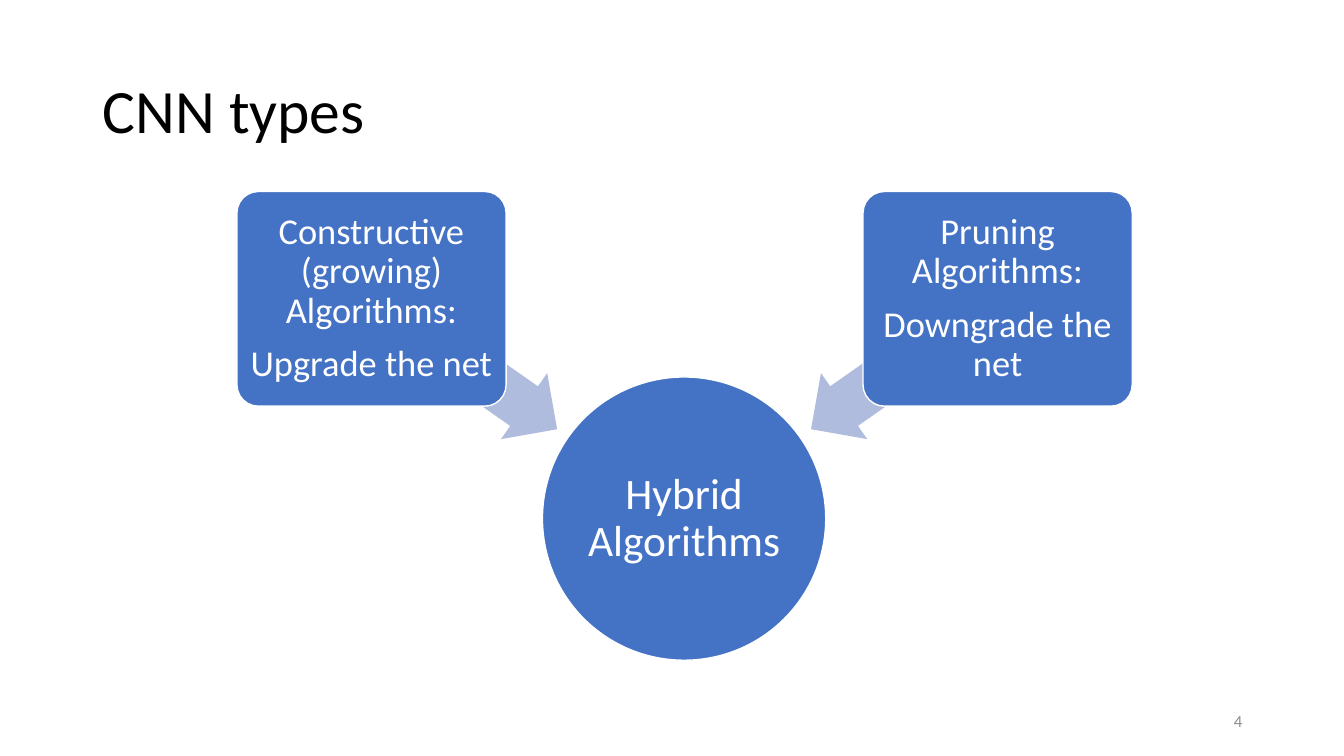
from dataclasses import dataclass

from pptx import Presentation
from pptx.dml.color import RGBColor
from pptx.enum.shapes import MSO_SHAPE
from pptx.enum.text import MSO_ANCHOR, MSO_AUTO_SIZE, PP_ALIGN
from pptx.shapes.autoshape import Shape
from pptx.slide import Slide
from pptx.text.text import TextFrame
from pptx.util import Emu, Pt

EMU_PER_PX = 9144  # 100 px to the inch
FONT = "Calibri"
COLORS = {
    "title": "000000",
    "node": "4472C4",
    "node_text": "FFFFFF",
    "arrow": "B0BCDE",
    "page": "8C8C8C",
}
CIRCLE, BOX, ARROW = MSO_SHAPE.OVAL, MSO_SHAPE.ROUNDED_RECTANGLE, MSO_SHAPE.LEFT_ARROW
LEFT, CENTER, RIGHT = PP_ALIGN.LEFT, PP_ALIGN.CENTER, PP_ALIGN.RIGHT
MIDDLE = MSO_ANCHOR.MIDDLE
NO_AUTOFIT = MSO_AUTO_SIZE.NONE
TITLE_ONLY = 5


@dataclass(frozen=True)
class Node:
    kind: MSO_SHAPE
    left: int
    top: int
    width: int
    height: int
    paragraphs: tuple[str, ...]
    size: int
    inset: int


@dataclass(frozen=True)
class Branch:
    """An algorithm family and the arrow leading from it to the hybrid."""
    node: Node
    arrow_left: int
    arrow_angle: int


HYBRID = Node(CIRCLE, 538, 374, 281, 281, ("Hybrid Algorithms",), 31, 2)
BRANCHES = (
    Branch(Node(BOX, 235, 190, 267, 213,
                ("Constructive (growing) Algorithms:", "Upgrade the net"), 26, 5), 347, 215),
    Branch(Node(BOX, 856, 190, 267, 213,
                ("Pruning Algorithms:", "Downgrade the net"), 26, 5), 784, 325),
)


def px(length: int) -> Emu:
    return Emu(length * EMU_PER_PX)


def rgb(role: str) -> RGBColor:
    return RGBColor.from_string(COLORS[role])


def write(frame: TextFrame, paragraphs: tuple[str, ...], size: int, role: str,
          paragraph_format: dict) -> None:
    frame.auto_size = NO_AUTOFIT
    frame.word_wrap = True
    frame.vertical_anchor = MIDDLE
    frame.text = "\n".join(paragraphs)
    for paragraph in frame.paragraphs:
        for attribute, value in paragraph_format.items():
            setattr(paragraph, attribute, value)
        font = paragraph.runs[0].font
        for attribute, value in {"name": FONT, "size": Pt(size)}.items():
            setattr(font, attribute, value)
        font.color.rgb = rgb(role)


def add_filled(slide: Slide, kind: MSO_SHAPE, bounds: tuple[int, ...], role: str) -> Shape:
    shape = slide.shapes.add_shape(kind, *map(px, bounds))
    shape.shadow.inherit = False
    shape.fill.solid()
    shape.fill.fore_color.rgb = rgb(role)
    return shape


def add_node(slide: Slide, node: Node) -> None:
    shape = add_filled(slide, node.kind, (node.left, node.top, node.width, node.height), "node")
    shape.line.color.rgb = rgb("node_text")
    shape.line.width = Pt(1)
    if node.kind == BOX:
        shape.adjustments[0] = 0.1
    for side in ("left", "top", "right", "bottom"):
        setattr(shape.text_frame, f"margin_{side}", px(node.inset))
    write(shape.text_frame, node.paragraphs, node.size, "node_text",
          {"alignment": CENTER, "line_spacing": 0.9, "space_after": Pt(10)})


def add_branch(slide: Slide, branch: Branch) -> None:
    arrow = add_filled(slide, ARROW, (branch.arrow_left, 321, 226, 80), "arrow")
    arrow.line.fill.background()
    arrow.rotation = branch.arrow_angle
    arrow.adjustments[0] = 0.6
    arrow.adjustments[1] = 0.5
    add_node(slide, branch.node)


def add_title(slide: Slide) -> None:
    title = slide.shapes.title
    bounds = {"left": 92, "top": 40, "width": 1150, "height": 145}
    for attribute, value in bounds.items():
        setattr(title, attribute, px(value))
    write(title.text_frame, ("CNN types",), 44, "title",
          {"alignment": LEFT, "line_spacing": 0.9})


def add_page_number(slide: Slide) -> None:
    page = slide.shapes.add_textbox(px(942), px(695), px(300), px(40))
    write(page.text_frame, ("4",), 12, "page", {"alignment": RIGHT})


def main() -> None:
    deck = Presentation()
    deck.slide_width, deck.slide_height = px(1333), px(750)
    slide = deck.slides.add_slide(deck.slide_layouts[TITLE_ONLY])
    add_title(slide)
    add_node(slide, HYBRID)
    for branch in BRANCHES:
        add_branch(slide, branch)
    add_page_number(slide)
    deck.save("out.pptx")


if __name__ == "__main__":
    main()
